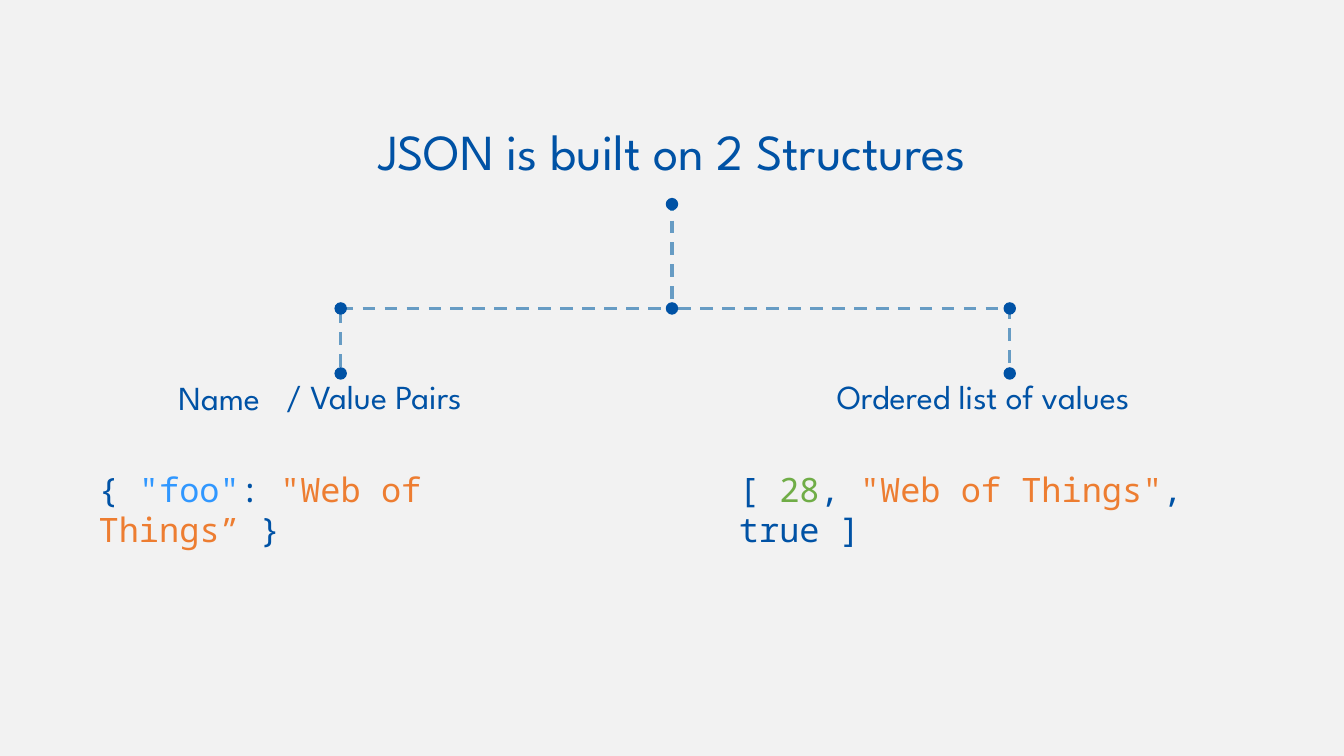
from dataclasses import dataclass
from typing import NamedTuple

from lxml import etree
from pptx import Presentation
from pptx.dml.color import RGBColor
from pptx.enum.dml import MSO_LINE
from pptx.enum.shapes import MSO_CONNECTOR, MSO_SHAPE
from pptx.enum.text import MSO_ANCHOR, MSO_AUTO_SIZE, PP_ALIGN
from pptx.oxml.ns import qn
from pptx.util import Inches, Pt

DASH = MSO_LINE.DASH
STRAIGHT = MSO_CONNECTOR.STRAIGHT
OVAL = MSO_SHAPE.OVAL
TOP, MIDDLE = MSO_ANCHOR.TOP, MSO_ANCHOR.MIDDLE
FIXED, GROW = MSO_AUTO_SIZE.NONE, MSO_AUTO_SIZE.SHAPE_TO_FIT_TEXT
LEFT, CENTER = PP_ALIGN.LEFT, PP_ALIGN.CENTER


# Theme
@dataclass(frozen=True)
class Theme:
    background: str = "F2F2F2"
    ink: str = "0052A5"
    branch: str = "679CC4"
    key: str = "3097FF"
    string: str = "ED7D31"
    number: str = "70AD47"
    sans: str = "League Spartan"
    mono: str = "Noto Sans Mono"
    title_size: int = 36
    text_size: int = 24
    branch_width: float = 2.25
    node_width: float = 1


THEME = Theme()


# Places are percentages of the slide's width and height
class Box(NamedTuple):
    x: float
    y: float
    w: float
    h: float


class Point(NamedTuple):
    x: float
    y: float


class Branch(NamedTuple):
    start: Point
    end: Point


class Run(NamedTuple):
    text: str
    color: str = THEME.ink


class Label(NamedTuple):
    text: str
    box: Box


class Code(NamedTuple):
    box: Box
    runs: list[Run]


prs = Presentation()
prs.slide_width, prs.slide_height = Inches(13.33), Inches(7.5)
s = prs.slides.add_slide(prs.slide_layouts[1])
s.background.fill.solid()
s.background.fill.fore_color.rgb = RGBColor.from_string(THEME.background)


def across(share: float) -> int:
    return round(prs.slide_width * share / 100)


def down(share: float) -> int:
    return round(prs.slide_height * share / 100)


def place(sp, box: Box) -> None:
    sp.left, sp.top = across(box.x), down(box.y)
    sp.width, sp.height = across(box.w), down(box.h)


def add_box(box: Box):
    return s.shapes.add_textbox(across(box.x), down(box.y), across(box.w), down(box.h))


def write(sp, runs: list[Run], font: str, size: int, anchor=TOP, align=LEFT,
          fit=FIXED, spacing: float = 1, before: float = 0) -> None:
    tf = sp.text_frame
    tf.word_wrap, tf.auto_size, tf.vertical_anchor = True, fit, anchor
    p = tf.paragraphs[0]
    p.alignment, p.line_spacing, p.space_before = align, spacing, Pt(before)
    for run in runs:
        r = p.add_run()
        r.text = run.text
        r.font.name, r.font.size = font, Pt(size)
        r.font.color.rgb = RGBColor.from_string(run.color)


def write_label(sp, text: str) -> None:
    write(sp, [Run(text)], THEME.sans, THEME.text_size, spacing=0.9, before=10)


def draw_branch(branch: Branch) -> None:
    start, end = branch
    sp = s.shapes.add_connector(STRAIGHT, across(start.x), down(start.y),
                                across(end.x), down(end.y))
    sp.line.color.rgb = RGBColor.from_string(THEME.branch)
    sp.line.width, sp.line.dash_style = Pt(THEME.branch_width), DASH
    etree.SubElement(sp.element.spPr, qn("a:effectLst"))


def draw_node(center: Point) -> None:
    size = Inches(0.11)
    sp = s.shapes.add_shape(OVAL, across(center.x) - size // 2,
                            down(center.y) - size // 2, size, size)
    sp.shadow.inherit = False
    sp.fill.solid()
    sp.fill.fore_color.rgb = RGBColor.from_string(THEME.ink)
    sp.line.color.rgb = RGBColor.from_string(THEME.ink)
    sp.line.width = Pt(THEME.node_width)


# Title
title = s.shapes.title
place(title, Box(15.75, 10.27, 68.5, 20.13))
write(title, [Run("JSON is built on 2 Structures")], THEME.sans, THEME.title_size,
      anchor=MIDDLE, align=CENTER, spacing=0.9)

# Tree branches
ROOT_X, LEFT_X, RIGHT_X = 50, 25.35, 75.13
FORK_Y, LEAF_Y = 40.8, 49.4
BRANCHES = [
    Branch(Point(ROOT_X, 26.27), Point(ROOT_X, 40.93)),
    Branch(Point(LEFT_X, FORK_Y), Point(ROOT_X, FORK_Y)),
    Branch(Point(LEFT_X, 41.07), Point(LEFT_X, 50)),
    Branch(Point(50.48, FORK_Y), Point(RIGHT_X, FORK_Y)),
    Branch(Point(RIGHT_X, 40.53), Point(RIGHT_X, 49.47)),
]
for branch in BRANCHES:
    draw_branch(branch)

# Structure names
LABEL_Y, LABEL_H = 49.73, 5.2
body = s.placeholders[1]
place(body, Box(12.53, LABEL_Y, 9.23, LABEL_H))
write_label(body, "Name")
pPr = body.text_frame.paragraphs[0]._p.get_or_add_pPr()
pPr.set("marL", "0")
pPr.set("indent", "0")
etree.SubElement(pPr, qn("a:buNone"))

LABELS = [
    Label("Ordered list of values", Box(61.52, LABEL_Y, 27.31, LABEL_H)),
    Label("/ Value Pairs", Box(20.56, LABEL_Y, 25.51, LABEL_H)),
]
for label in LABELS:
    write_label(add_box(label.box), label.text)

# Code samples
CODE_Y, CODE_H = 61.33, 6.67
CODES = [
    Code(Box(6.6, CODE_Y, 37.43, CODE_H), [
        Run("{ "), Run('"foo"', THEME.key), Run(":"),
        Run(' "Web of Things” ', THEME.string), Run("}")]),
    Code(Box(54.24, CODE_Y, 41.86, CODE_H), [
        Run("[ "), Run("28", THEME.number), Run(", "),
        Run('"Web of Things"', THEME.string), Run(", true ]")]),
]
for code in CODES:
    write(add_box(code.box), code.runs, THEME.mono, THEME.text_size, fit=GROW)

# Tree nodes
NODES = [Point(ROOT_X, 27), Point(ROOT_X, FORK_Y)]
NODES += [Point(x, y) for x in (LEFT_X, RIGHT_X) for y in (FORK_Y, LEAF_Y)]
for node in NODES:
    draw_node(node)

prs.save("out.pptx")
